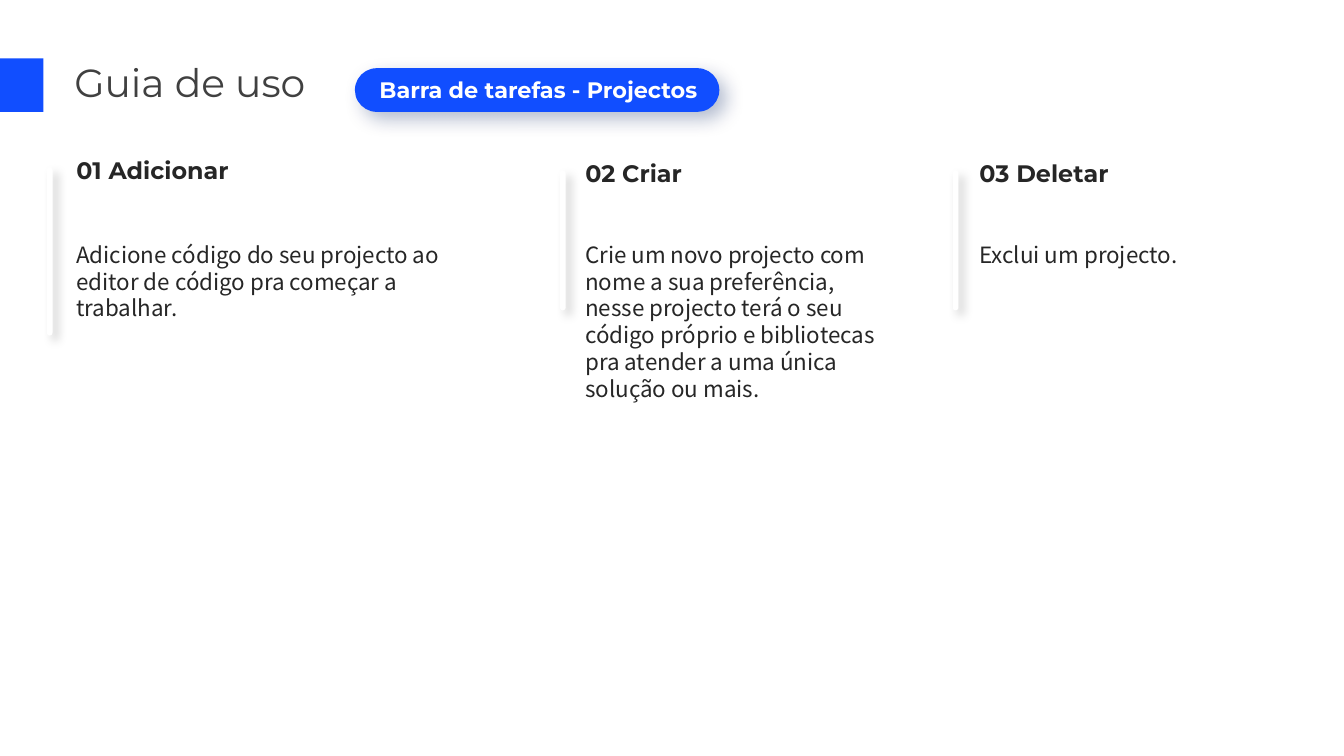
from lxml import etree
from pptx import Presentation
from pptx.dml.color import RGBColor
from pptx.enum import shapes, text
from pptx.oxml import ns
from pptx.util import Pt

BLUE = RGBColor(0x11, 0x4E, 0xFF)
NAVY = RGBColor(0x00, 0x20, 0x60)
BLACK = RGBColor(0x00, 0x00, 0x00)
WHITE = RGBColor(0xFF, 0xFF, 0xFF)
TITLE_GRAY = RGBColor(0x40, 0x40, 0x40)
TEXT_GRAY = RGBColor(0x26, 0x26, 0x26)
HEADING_FONT = "Montserrat"
BODY_FONT = "Noto Sans CJK SC"

deck = Presentation()
deck.slide_width, deck.slide_height = Pt(960), Pt(540)
page = deck.slides.add_slide(deck.slide_layouts[6])


def add_text(words, left, top, width, height, size, color, font=HEADING_FONT, bold=False):
    box = page.shapes.add_textbox(Pt(left), Pt(top), Pt(width), Pt(height))
    box.text_frame.word_wrap = True
    span = box.text_frame.paragraphs[0].add_run()
    span.text = words
    span.font.name, span.font.size, span.font.bold = font, Pt(size), bold
    span.font.color.rgb = color
    return box


def add_block(kind, left, top, width, height, color, shadow=None):
    block = page.shapes.add_shape(kind, Pt(left), Pt(top), Pt(width), Pt(height))
    block.fill.solid()
    block.fill.fore_color.rgb = color
    block.line.fill.background()
    block.shadow.inherit = False
    if kind == shapes.MSO_SHAPE.ROUNDED_RECTANGLE:
        block.adjustments[0] = 0.5
    if shadow:
        tint, opacity, blur, distance = shadow
        effects = block._element.spPr.find(ns.qn("a:effectLst"))
        outer = etree.SubElement(effects, ns.qn("a:outerShdw"), blurRad=str(Pt(blur)),
                                 dist=str(Pt(distance)), dir=str(45 * 60000),
                                 algn="tl", rotWithShape="0")
        shade = etree.SubElement(outer, ns.qn("a:srgbClr"), val=str(tint))
        etree.SubElement(shade, ns.qn("a:alpha"), val=str(opacity * 1000))


# Title with its blue marker
add_text("Guia de uso", 46, 38.2, 204, 41, 28, TITLE_GRAY)
add_block(shapes.MSO_SHAPE.RECTANGLE, 0, 41.8, 31, 38.2, BLUE)

# Columns: heading, description and raised bar
columns = [
    ("01 Adicionar",
     "Adicione código do seu projecto ao editor de código pra começar a trabalhar.",
     47.5, 108, 307, 33.5, 119.5, 120.2),
    ("02 Criar",
     "Crie um novo projecto com nome a sua preferência, nesse projecto terá o seu "
     "código próprio e bibliotecas pra atender a uma única solução ou mais.",
     411, 110, 227.5, 400, 121.7, 100),
    ("03 Deletar",
     "Exclui um projecto.",
     692.6, 110, 227.5, 680.6, 121.7, 100),
]
for heading, description, left, top, width, bar_left, bar_top, bar_height in columns:
    add_text(heading, left, top, width, 56, 17, TEXT_GRAY, bold=True)
    add_text(description, left, 168.5, width, 348.5, 16, TEXT_GRAY, BODY_FONT)
    add_block(shapes.MSO_SHAPE.ROUNDED_RECTANGLE, bar_left, bar_top, 4, bar_height,
              WHITE, (BLACK, 20, 7, 5))

# Section pill, with a label box wide enough for one line
add_block(shapes.MSO_SHAPE.ROUNDED_RECTANGLE, 253.5, 48.7, 260.3, 31.2, BLUE, (NAVY, 30, 14, 7))
label = add_text("Barra de tarefas - Projectos", 254.6, 51, 260, 29, 16, WHITE, bold=True)
label.text_frame.paragraphs[0].alignment = text.PP_ALIGN.CENTER

deck.save("out.pptx")
